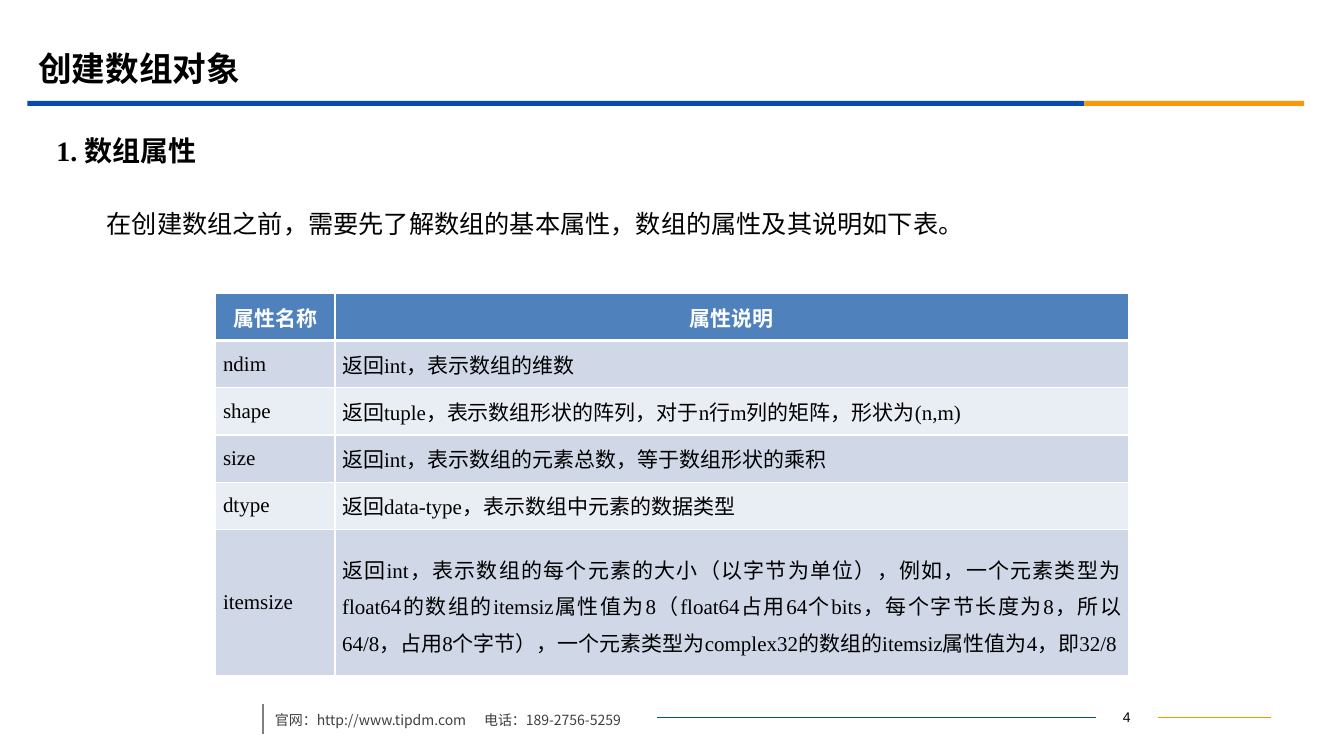
from dataclasses import dataclass

from lxml.etree import SubElement
from pptx import Presentation
from pptx.dml.color import RGBColor
from pptx.enum.shapes import MSO_CONNECTOR, MSO_SHAPE
from pptx.enum.text import MSO_ANCHOR, MSO_AUTO_SIZE, PP_ALIGN
from pptx.oxml import parse_xml
from pptx.oxml.ns import nsdecls, qn
from pptx.shapes.base import BaseShape
from pptx.slide import Slide
from pptx.table import _Cell
from pptx.text.text import TextFrame, _Paragraph
from pptx.util import Cm, Pt

BLUE = RGBColor(0x06, 0x4B, 0xB2)
ORANGE = RGBColor(0xFB, 0x97, 0x08)
DARK_ORANGE = RGBColor(0xF1, 0x95, 0x00)
GREY = RGBColor(0x80, 0x80, 0x80)
DARK_GREY = RGBColor(0x40, 0x40, 0x40)
BLACK = RGBColor(0, 0, 0)
WHITE = RGBColor(0xFF, 0xFF, 0xFF)
HEADER_BLUE = RGBColor(0x4F, 0x81, 0xBD)
BANDS = (RGBColor(0xD0, 0xD8, 0xE8), RGBColor(0xE9, 0xED, 0xF4))

SERIF = "Times New Roman"
CHINESE = "Noto Sans CJK SC"


@dataclass(frozen=True)
class TextStyle:
    size: float
    font: str = SERIF
    color: RGBColor = BLACK
    bold: bool = False


@dataclass(frozen=True)
class Area:
    left: float
    top: float
    width: float
    height: float

    def lengths(self) -> tuple[Cm, Cm, Cm, Cm]:
        return Cm(self.left), Cm(self.top), Cm(self.width), Cm(self.height)


@dataclass(frozen=True)
class Bar:
    area: Area
    color: RGBColor


@dataclass(frozen=True)
class Rule:
    start: tuple[float, float]
    end: tuple[float, float]
    color: RGBColor
    weight: float


@dataclass(frozen=True)
class TextBlock:
    text: str
    area: Area
    style: TextStyle
    anchor: MSO_ANCHOR = MSO_ANCHOR.TOP
    align: PP_ALIGN = PP_ALIGN.LEFT
    line_spacing: float = 1.0
    indent: float = 0
    tab: float = 0


TITLE = TextBlock("创建数组对象", Area(0.71, 0.99, 30.48, 1.47),
                  TextStyle(24, bold=True), MSO_ANCHOR.MIDDLE)

TEXT_BLOCKS = (
    TextBlock("1. 数组属性", Area(1.17, 3.18, 30.86, 1.19),
              TextStyle(20, bold=True), MSO_ANCHOR.MIDDLE),
    TextBlock("在创建数组之前，需要先了解数组的基本属性，数组的属性及其说明如下表。",
              Area(1.17, 4.75, 30.86, 13.67), TextStyle(18),
              line_spacing=1.5, indent=1.27),
    TextBlock("官网：http://www.tipdm.com\t电话：189-2756-5259",
              Area(6.68, 17.58, 13.61, 0.89), TextStyle(10, CHINESE, DARK_GREY),
              line_spacing=1.5, tab=5.27),
    TextBlock("4", Area(27.61, 17.75, 1.57, 0.64), TextStyle(10, "Arial"),
              MSO_ANCHOR.MIDDLE, PP_ALIGN.CENTER),
)

BARS = (
    Bar(Area(0.69, 2.54, 26.64, 0.13), BLUE),
    Bar(Area(27.33, 2.54, 5.54, 0.13), ORANGE),
)

RULES = (
    Rule((29.18, 18.08), (32.03, 18.08), DARK_ORANGE, 0.75),
    Rule((16.56, 18.08), (27.61, 18.08), BLUE, 0.75),
    Rule((6.63, 17.73), (6.63, 18.49), GREY, 1.25),
)

TABLE_AREA = Area(5.44, 7.39, 23, 8.36)
COLUMN_WIDTHS = (3, 20)
ROW_HEIGHT = 1.19
ATTRIBUTES = (
    ("属性名称", "属性说明"),
    ("ndim", "返回int，表示数组的维数"),
    ("shape", "返回tuple，表示数组形状的阵列，对于n行m列的矩阵，形状为(n,m)"),
    ("size", "返回int，表示数组的元素总数，等于数组形状的乘积"),
    ("dtype", "返回data-type，表示数组中元素的数据类型"),
    ("itemsize", "返回int，表示数组的每个元素的大小（以字节为单位），例如，一个元素类型为"
                 "float64的数组的itemsiz属性值为8（float64占用64个bits，每个字节长度为8，"
                 "所以64/8，占用8个字节），一个元素类型为complex32的数组的itemsiz属性值为4，"
                 "即32/8"),
)


def format_paragraph(para: _Paragraph, style: TextStyle, align: PP_ALIGN) -> None:
    para.alignment = align
    for span in para.runs:
        span.font.name = style.font
        span.font.size = Pt(style.size)
        span.font.bold = style.bold
        span.font.color.rgb = style.color
        east_asian = SubElement(span.font._element, qn("a:ea"))
        east_asian.set("typeface", CHINESE)


def fill_frame(frame: TextFrame, block: TextBlock) -> None:
    frame.text = block.text
    frame.word_wrap = True
    frame.auto_size = MSO_AUTO_SIZE.NONE
    frame.vertical_anchor = block.anchor
    para = frame.paragraphs[0]
    para.line_spacing = block.line_spacing
    properties = para._p.get_or_add_pPr()
    if block.indent:
        properties.set("indent", str(Cm(block.indent)))
    if block.tab:
        tabs = SubElement(properties, qn("a:tabLst"))
        SubElement(tabs, qn("a:tab"), pos=str(Cm(block.tab)), algn="l")
    format_paragraph(para, block.style, block.align)


def add_title(page: Slide, block: TextBlock) -> None:
    title: BaseShape = page.shapes.title
    title.left, title.top, title.width, title.height = block.area.lengths()
    fill_frame(title.text_frame, block)


def add_bar(page: Slide, bar: Bar) -> None:
    shape = page.shapes.add_shape(MSO_SHAPE.RECTANGLE, *bar.area.lengths())
    shape.shadow.inherit = False
    shape.fill.solid()
    shape.fill.fore_color.rgb = bar.color
    shape.line.fill.background()


def add_rule(page: Slide, rule: Rule) -> None:
    ends = [Cm(value) for value in rule.start + rule.end]
    line = page.shapes.add_connector(MSO_CONNECTOR.STRAIGHT, *ends)
    line.line.color.rgb = rule.color
    line.line.width = Pt(rule.weight)
    SubElement(line._element.spPr, qn("a:effectLst"))


def set_borders(cell: _Cell, bottom: float, top: float) -> None:
    properties = cell._tc.get_or_add_tcPr()
    sides = (("lnL", 1), ("lnR", 1), ("lnT", top), ("lnB", bottom))
    for position, (side, weight) in enumerate(sides):
        properties.insert(position, parse_xml(
            f'<a:{side} {nsdecls("a")} w="{Pt(weight)}"><a:solidFill>'
            f'<a:srgbClr val="{WHITE}"/></a:solidFill></a:{side}>'))


def add_attribute_table(page: Slide) -> None:
    table = page.shapes.add_table(len(ATTRIBUTES), len(COLUMN_WIDTHS),
                                  *TABLE_AREA.lengths()).table
    for column, width in zip(table.columns, COLUMN_WIDTHS):
        column.width = Cm(width)
    last = len(ATTRIBUTES) - 1
    for row, texts in enumerate(ATTRIBUTES):
        header = row == 0
        table.rows[row].height = Cm(ROW_HEIGHT * (2 if row == last else 1))
        style = TextStyle(15, CHINESE, WHITE, True) if header else TextStyle(15)
        for column, text in enumerate(texts):
            cell = table.cell(row, column)
            cell.text_frame.text = text
            cell.vertical_anchor = MSO_ANCHOR.MIDDLE
            cell.margin_left = cell.margin_right = Cm(0.18)
            cell.margin_top = cell.margin_bottom = 0
            cell.fill.solid()
            cell.fill.fore_color.rgb = HEADER_BLUE if header else BANDS[(row - 1) % 2]
            set_borders(cell, bottom=3 if header else 1, top=3 if row == 1 else 1)
            para = cell.text_frame.paragraphs[0]
            if row == last and column == 1:
                para.line_spacing = 1.2
            format_paragraph(para, style, PP_ALIGN.CENTER if header else PP_ALIGN.JUSTIFY)


def main() -> None:
    deck = Presentation()
    deck.slide_width, deck.slide_height = Cm(33.87), Cm(19.05)
    page = deck.slides.add_slide(deck.slide_layouts[5])

    # Heading with its two-coloured bar
    add_title(page, TITLE)
    for bar in BARS:
        add_bar(page, bar)

    # Footer lines, then all running text
    for rule in RULES:
        add_rule(page, rule)
    for block in TEXT_BLOCKS:
        box = page.shapes.add_textbox(*block.area.lengths())
        fill_frame(box.text_frame, block)

    # Array attributes
    add_attribute_table(page)
    deck.save("out.pptx")


if __name__ == "__main__":
    main()
